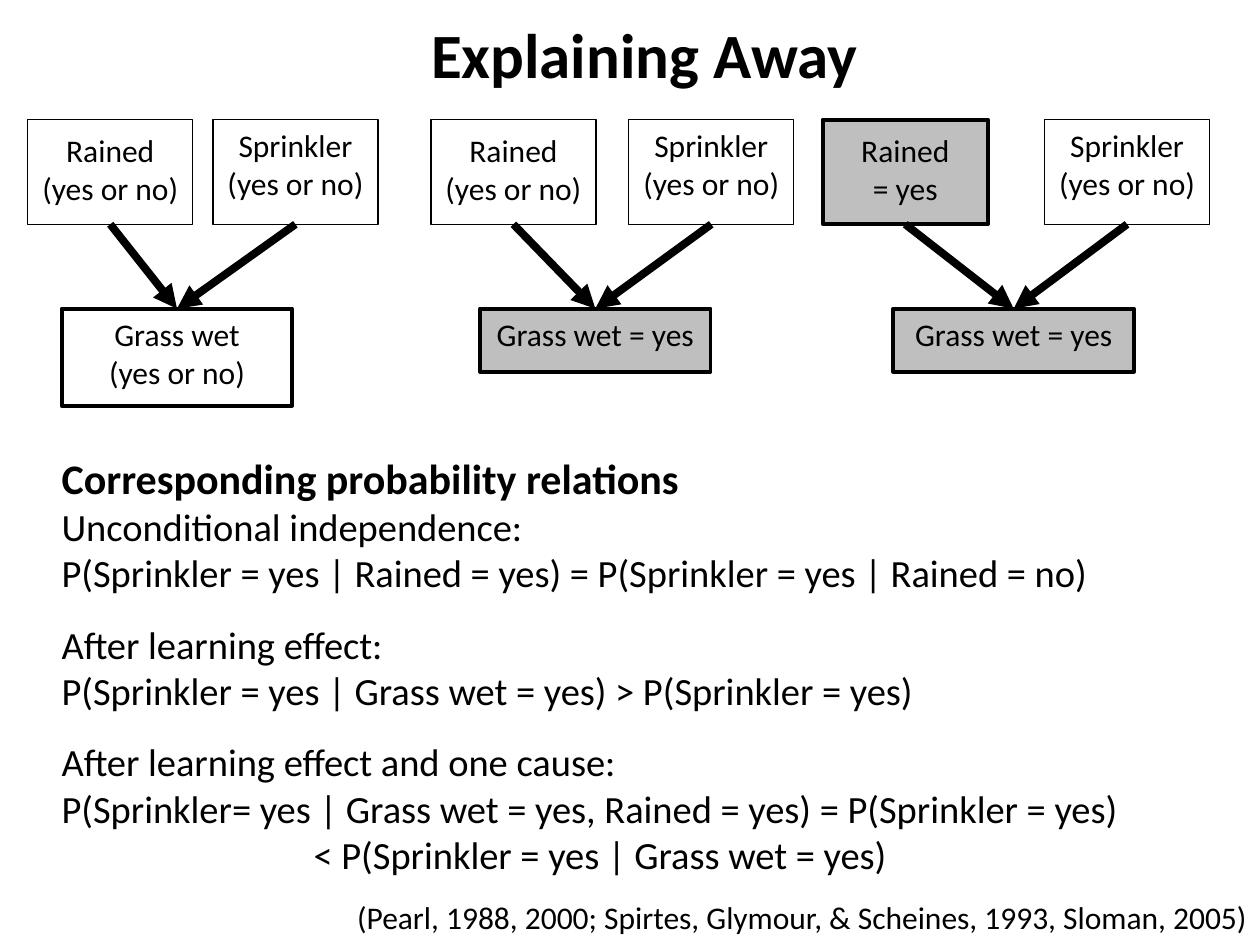
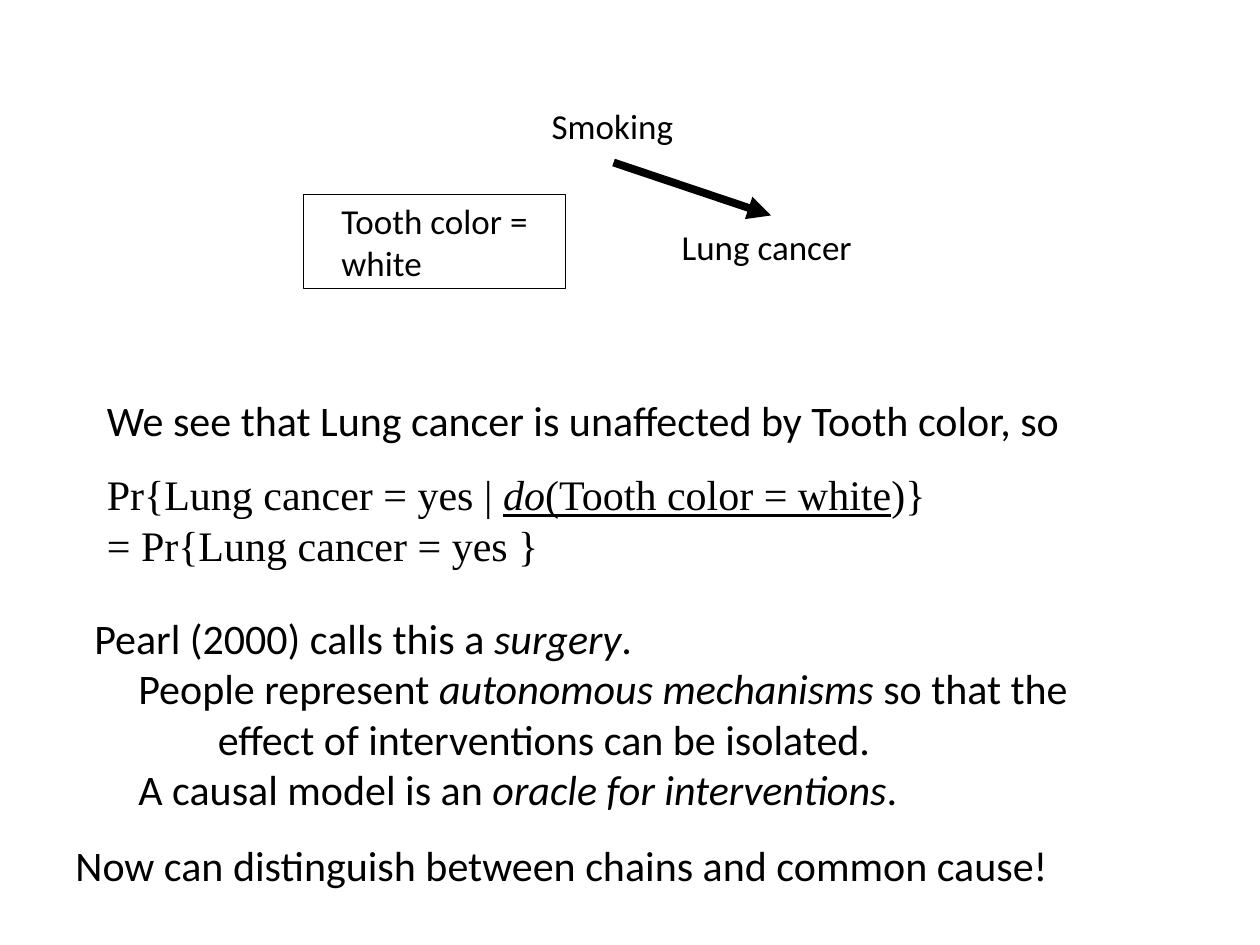
from dataclasses import dataclass

from lxml.etree import SubElement
from pptx import Presentation
from pptx.dml.color import RGBColor
from pptx.enum.shapes import MSO_CONNECTOR as Link, MSO_SHAPE as Shape
from pptx.enum.text import MSO_ANCHOR as Anchor, PP_ALIGN as Align
from pptx.oxml.ns import qn
from pptx.util import Inches, Pt


@dataclass(frozen=True)
class Theme:
    ink: RGBColor = RGBColor(0, 0, 0)
    paper: RGBColor = RGBColor(255, 255, 255)
    known: RGBColor = RGBColor(0xBF, 0xBF, 0xBF)
    sans: str = "Calibri"
    serif: str = "Times New Roman"
    title: int = 36
    heading: int = 24
    body: int = 22
    label: int = 20
    node: int = 18
    hairline: float = 0.5
    thin: float = 0.75
    thick: float = 2.25
    arrow: float = 4.5


THEME = Theme()
CENTER = {"alignment": Align.CENTER}
RIGHT = {"alignment": Align.RIGHT}
GAP = {"space_before": Pt(14.6)}
SERIF_GAP = {"space_before": Pt(13.8)}
MIDDLE = {"vertical_anchor": Anchor.MIDDLE}
RAINED_INSET = {"margin_top": Inches(0.09)}
BOLD = {"bold": True}
ITALIC = {"italic": True}
UNDERLINE = {"underline": True}

UNKNOWN = "(yes or no)"
CAUSE_TOP, CAUSE_WIDTH, CAUSE_HEIGHT = 0.95, 1.31, 0.83
EFFECT_TOP = 2.45

NETWORKS = [
    {"rained": (0.22, UNKNOWN, False), "sprinkler": 1.69,
     "effect": (0.49, 1.83, 0.77, ["Grass wet", UNKNOWN], False)},
    {"rained": (3.42, UNKNOWN, False), "sprinkler": 4.99,
     "effect": (3.81, 1.83, 0.5, ["Grass wet = yes"], True)},
    {"rained": (6.53, "= yes", True), "sprinkler": 8.29,
     "effect": (7.09, 1.91, 0.5, ["Grass wet = yes"], True)},
]

RELATIONS = [
    ([("Corresponding probability relations", {**BOLD, "size": Pt(THEME.heading)})], {}, None),
    ("Unconditional independence:", {}, None),
    ("P(Sprinkler = yes | Rained = yes) = P(Sprinkler = yes | Rained = no)", {}, None),
    ("After learning effect:", GAP, None),
    ("P(Sprinkler = yes | Grass wet = yes) > P(Sprinkler = yes)", {}, None),
    ("After learning effect and one cause:", GAP, None),
    ("P(Sprinkler= yes | Grass wet = yes, Rained = yes) = P(Sprinkler = yes)", {}, None),
    ("< P(Sprinkler = yes | Grass wet = yes)", {}, (2, 0)),
]

CITATION = "(Pearl, 1988, 2000; Spirtes, Glymour, & Scheines, 1993, Sloman, 2005)"

FORMULA = {"name": THEME.serif}
INTERVENTION = [
    ("We see that Lung cancer is unaffected by Tooth color, so", {}, (0.5, 0)),
    ([("Pr{Lung cancer = yes | ", FORMULA),
      ("do", {**FORMULA, **ITALIC, **UNDERLINE}),
      ("(Tooth color = white", {**FORMULA, **UNDERLINE}),
      (")}", FORMULA)], SERIF_GAP, (0.5, 0)),
    ([("= Pr{Lung cancer = yes }", FORMULA)], {}, (0.5, 0)),
]

HANGING = (1.13, -0.63)
SURGERY = [
    ([("Pearl (2000) calls this a ", {}), ("surgery", ITALIC), (".", {})], {}, (0.15, 0)),
    ([("People represent ", {}), ("autonomous mechanisms", ITALIC),
      (" so that the effect of interventions can be isolated.", {})], {}, HANGING),
    ([("A causal model is an ", {}), ("oracle for interventions", ITALIC), (".", {})], {}, HANGING),
    ("Now can distinguish between chains and common cause!", GAP, None),
]


def apply(target, values):
    for attribute, value in values.items():
        setattr(target, attribute, value)


def write(holder, lines, size, frame_format=None):
    frame = holder.text_frame
    apply(frame, {"word_wrap": True, "vertical_anchor": Anchor.TOP, **(frame_format or {})})
    for number, (runs, line_format, indent) in enumerate(lines):
        line = frame.add_paragraph() if number else frame.paragraphs[0]
        apply(line, {"alignment": Align.LEFT, **line_format})
        if indent:
            margin, first = indent
            properties = line._p.get_or_add_pPr()
            properties.set("marL", str(Inches(margin)))
            properties.set("indent", str(Inches(first)))
        for words, run_format in [(runs, {})] if isinstance(runs, str) else runs:
            run = line.add_run()
            run.text = words
            apply(run.font, {"name": THEME.sans, "size": Pt(size), **run_format})
            run.font.color.rgb = THEME.ink


def add_text(slide, place, lines, size, frame_format=None):
    write(slide.shapes.add_textbox(*map(Inches, place)), lines, size, frame_format)


def add_box(slide, place, lines, size, fill=None, border=None, frame_format=None):
    box = slide.shapes.add_shape(Shape.RECTANGLE, *map(Inches, place))
    box.shadow.inherit = False
    if fill is None:
        box.fill.background()
    else:
        box.fill.solid()
        box.fill.fore_color.rgb = fill
    if border is None:
        box.line.fill.background()
    else:
        box.line.color.rgb = THEME.ink
        box.line.width = Pt(border)
    write(box, lines, size, frame_format)


def add_arrow(slide, start, end):
    arrow = slide.shapes.add_connector(Link.STRAIGHT, *map(Inches, (*start, *end)))
    arrow.line.color.rgb = THEME.ink
    arrow.line.width = Pt(THEME.arrow)
    SubElement(arrow.line._get_or_add_ln(), qn("a:tailEnd"), type="triangle")
    SubElement(arrow._element.spPr, qn("a:effectLst"))


def centered(*lines):
    return [(line, CENTER, None) for line in lines]


def draw_network(slide, rained, sprinkler, effect):
    rained_left, rained_state, rained_known = rained
    effect_left, effect_width, effect_height, effect_lines, effect_known = effect
    causes = [
        (rained_left, "Rained", rained_state, rained_known, RAINED_INSET),
        (sprinkler, "Sprinkler", UNKNOWN, False, {}),
    ]
    for left, cause, state, known, inset in causes:
        add_box(slide, (left, CAUSE_TOP, CAUSE_WIDTH, CAUSE_HEIGHT), centered(cause, state),
                THEME.node, THEME.known if known else THEME.paper,
                THEME.thick if known else THEME.thin, inset)
    add_box(slide, (effect_left, EFFECT_TOP, effect_width, effect_height),
            centered(*effect_lines), THEME.node,
            THEME.known if effect_known else None, THEME.thick)
    for left, *_ in causes:
        add_arrow(slide, (left + CAUSE_WIDTH / 2, CAUSE_TOP + CAUSE_HEIGHT),
                  (effect_left + effect_width / 2, EFFECT_TOP))


def draw_explaining_away(slide):
    add_box(slide, (0.39, 3.54, 9.45, 3.54), RELATIONS, THEME.body, THEME.paper)
    add_text(slide, (2.69, 0.07, 4.85, 0.7), [([("Explaining Away", BOLD)], CENTER, None)],
             THEME.title, MIDDLE)
    for network in NETWORKS:
        draw_network(slide, **network)
    add_text(slide, (2.57, 7.08, 7.43, 0.4), [(CITATION, RIGHT, None)], THEME.node)


def draw_surgery(slide):
    add_text(slide, (0.5, 4.81, 8.58, 2.73), SURGERY, THEME.heading)
    add_text(slide, (0.25, 3.08, 9.17, 1.51), INTERVENTION, THEME.heading)
    add_text(slide, (5.16, 1.71, 1.92, 0.5), [("Lung cancer", {}, None)], THEME.label,
             {**MIDDLE, "margin_left": Inches(0.25)})
    add_box(slide, (2.41, 1.54, 2.08, 0.75), [("Tooth color = white", {}, None)], THEME.label,
            border=THEME.hairline, frame_format={**MIDDLE, "margin_left": Inches(0.3)})
    add_text(slide, (4.07, 0.71, 1.58, 0.58), centered("Smoking"), THEME.label, MIDDLE)
    add_arrow(slide, (4.87, 1.29), (6.12, 1.71))


def main():
    deck = Presentation()
    apply(deck, {"slide_width": Inches(10), "slide_height": Inches(7.5)})
    for draw in (draw_explaining_away, draw_surgery):
        draw(deck.slides.add_slide(deck.slide_layouts[6]))
    deck.save("out.pptx")


if __name__ == "__main__":
    main()
